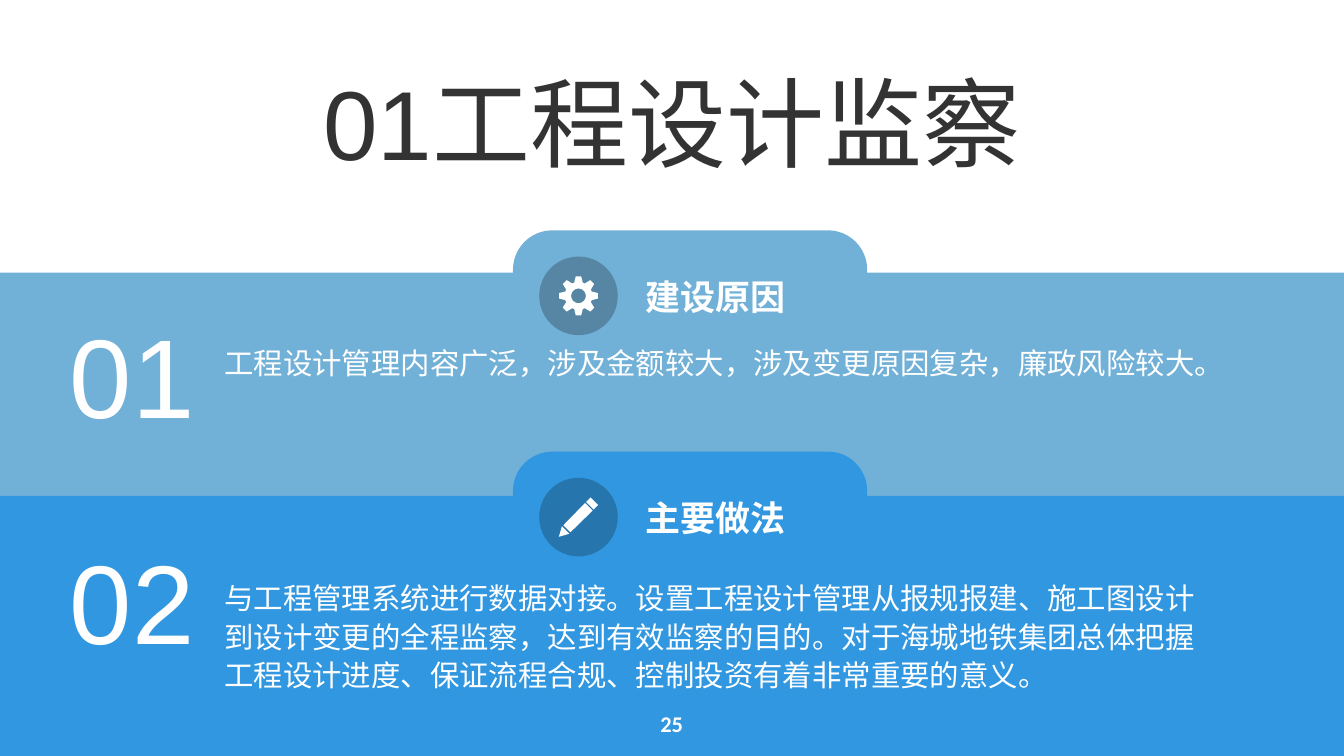
import math

import pptx
import pptx.dml.color
import pptx.enum.shapes
import pptx.enum.text
import pptx.util

Inches = pptx.util.Inches
SHAPE = pptx.enum.shapes.MSO_SHAPE
ALIGN = pptx.enum.text.PP_ALIGN
ANCHOR = pptx.enum.text.MSO_ANCHOR

WHITE = "FFFFFF"
SLIDE_WIDTH, SLIDE_HEIGHT = 26.67, 15
TITLE = "01工程设计监察"
PAGE_NUMBER = "25"

SECTIONS = [
    {
        "number": "01", "heading": "建设原因", "icon": "gear",
        "text": "工程设计管理内容广泛，涉及金额较大，涉及变更原因复杂，廉政风险较大。",
        "color": "72B1D7", "circle_color": "5686A3",
        "band": (5.41, 4.95), "tab_top": 4.57, "number_top": 6.37,
        "text_box": (6.77, 1.81), "anchor": ANCHOR.TOP,
    },
    {
        "number": "02", "heading": "主要做法", "icon": "pencil",
        "text": "与工程管理系统进行数据对接。设置工程设计管理从报规报建、施工图设计到"
                "设计变更的全程监察，达到有效监察的目的。对于海城地铁集团总体把握工程"
                "设计进度、保证流程合规、控制投资有着非常重要的意义。",
        "color": "3197E0", "circle_color": "2675AD",
        "band": (9.84, 6.07), "tab_top": 8.96, "number_top": 10.85,
        "text_box": (11.25, 2.68), "anchor": ANCHOR.MIDDLE,
    },
]

TAB_LEFT, TAB_WIDTH, TAB_HEIGHT = 10.18, 7.03, 2.6
CIRCLE_SIZE = 1.56
ICON_RADIUS = 0.39

# Offsets from the icon's centre: tip, body and eraser
PENCIL = [
    [(-0.39, 0.39), (-0.33, 0.18), (-0.18, 0.33)],
    [(-0.16, 0.3), (-0.3, 0.16), (0.13, -0.28), (0.28, -0.13)],
    [(0.3, -0.15), (0.15, -0.3), (0.24, -0.39), (0.39, -0.24)],
]


def polar(radius, degrees):
    angle = math.radians(degrees)
    return radius * math.cos(angle), radius * math.sin(angle)


def gear_contours(teeth=8, valley_radius=0.275, hole_radius=0.145):
    """Return the toothed outline and the round hole, wound in opposite ways."""
    profile = [(valley_radius, -18), (ICON_RADIUS, -8), (ICON_RADIUS, 8), (valley_radius, 18)]
    outline = [polar(radius, tooth * 360 / teeth + turn)
               for tooth in range(teeth) for radius, turn in profile]
    hole = [polar(hole_radius, -degrees) for degrees in range(0, 360, 10)]
    return [outline, hole]


ICONS = {"gear": gear_contours(), "pencil": PENCIL}


def rgb(color):
    return pptx.dml.color.RGBColor.from_string(color)


def paint(shape, color):
    shape.fill.solid()
    shape.fill.fore_color.rgb = rgb(color)
    shape.line.fill.background()
    shape.shadow.inherit = False


def add_filled_shape(shapes, kind, box, color):
    shape = shapes.add_shape(kind, *map(Inches, box))
    paint(shape, color)
    return shape


def add_icon(shapes, contours, center_x, center_y, color=WHITE):
    placed = [[(Inches(center_x + x), Inches(center_y + y)) for x, y in contour]
              for contour in contours]
    builder = shapes.build_freeform(*placed[0][0])
    for index, contour in enumerate(placed):
        if index:
            builder.move_to(*contour[0])
        builder.add_line_segments(contour[1:], close=True)
    paint(builder.convert_to_shape(), color)


def write_text(shape, text, size, color=WHITE, font="Arial", bold=False,
               align=ALIGN.LEFT, anchor=ANCHOR.MIDDLE, spacing=1.0, inset=0):
    frame = shape.text_frame
    frame.word_wrap = True
    frame.auto_size = pptx.enum.text.MSO_AUTO_SIZE.NONE
    frame.vertical_anchor = anchor
    frame.margin_left = frame.margin_right = Inches(inset)
    frame.margin_top = frame.margin_bottom = Inches(inset)
    paragraph = frame.paragraphs[0]
    paragraph.alignment = align
    paragraph.line_spacing = spacing
    paragraph.space_before = pptx.util.Pt(0)
    run = paragraph.add_run()
    run.text = text
    run.font.size = pptx.util.Pt(size)
    run.font.name = font
    run.font.bold = bold
    run.font.color.rgb = rgb(color)


def add_text(shapes, box, text, size, **text_format):
    write_text(shapes.add_textbox(*map(Inches, box)), text, size, **text_format)


def add_section(slide, section):
    shapes = slide.shapes.add_group_shape().shapes
    band_top, band_height = section["band"]
    text_top, text_height = section["text_box"]
    tab_top = section["tab_top"]
    center_x, center_y = TAB_LEFT + 1.3, tab_top + TAB_HEIGHT / 2
    circle_offset = CIRCLE_SIZE / 2

    add_filled_shape(shapes, SHAPE.RECTANGLE,
                     (0, band_top, SLIDE_WIDTH, band_height), section["color"])
    tab = add_filled_shape(shapes, SHAPE.ROUNDED_RECTANGLE,
                           (TAB_LEFT, tab_top, TAB_WIDTH, TAB_HEIGHT), section["color"])
    tab.adjustments[0] = 0.3
    add_filled_shape(shapes, SHAPE.OVAL,
                     (center_x - circle_offset, center_y - circle_offset,
                      CIRCLE_SIZE, CIRCLE_SIZE), section["circle_color"])
    add_icon(shapes, ICONS[section["icon"]], center_x, center_y)
    add_text(shapes, (TAB_LEFT + 2.62, tab_top + 0.53, 3.9, 1.55),
             section["heading"], 50, bold=True)
    add_text(shapes, (4.45, text_top, 19.83, text_height),
             section["text"], 42, anchor=section["anchor"], spacing=1.1)
    add_text(shapes, (1.32, section["number_top"], 2.6, 2.6),
             section["number"], 160, align=ALIGN.CENTER, spacing=0.8)


def main():
    presentation = pptx.Presentation()
    presentation.slide_width = Inches(SLIDE_WIDTH)
    presentation.slide_height = Inches(SLIDE_HEIGHT)
    slide = presentation.slides.add_slide(presentation.slide_layouts[5])

    title = slide.shapes.title
    title.left, title.top, title.width, title.height = map(Inches, (2.66, 1.33, 21.35, 2.6))
    write_text(title, TITLE, 140, color="333333", align=ALIGN.CENTER, spacing=0.8)

    for section in SECTIONS:
        add_section(slide, section)

    add_text(slide.shapes, (12.86, 13.99, 0.94, 0.73), PAGE_NUMBER, 32,
             font="Calibri", bold=True, align=ALIGN.CENTER, inset=0.1)
    presentation.save("out.pptx")


if __name__ == "__main__":
    main()
